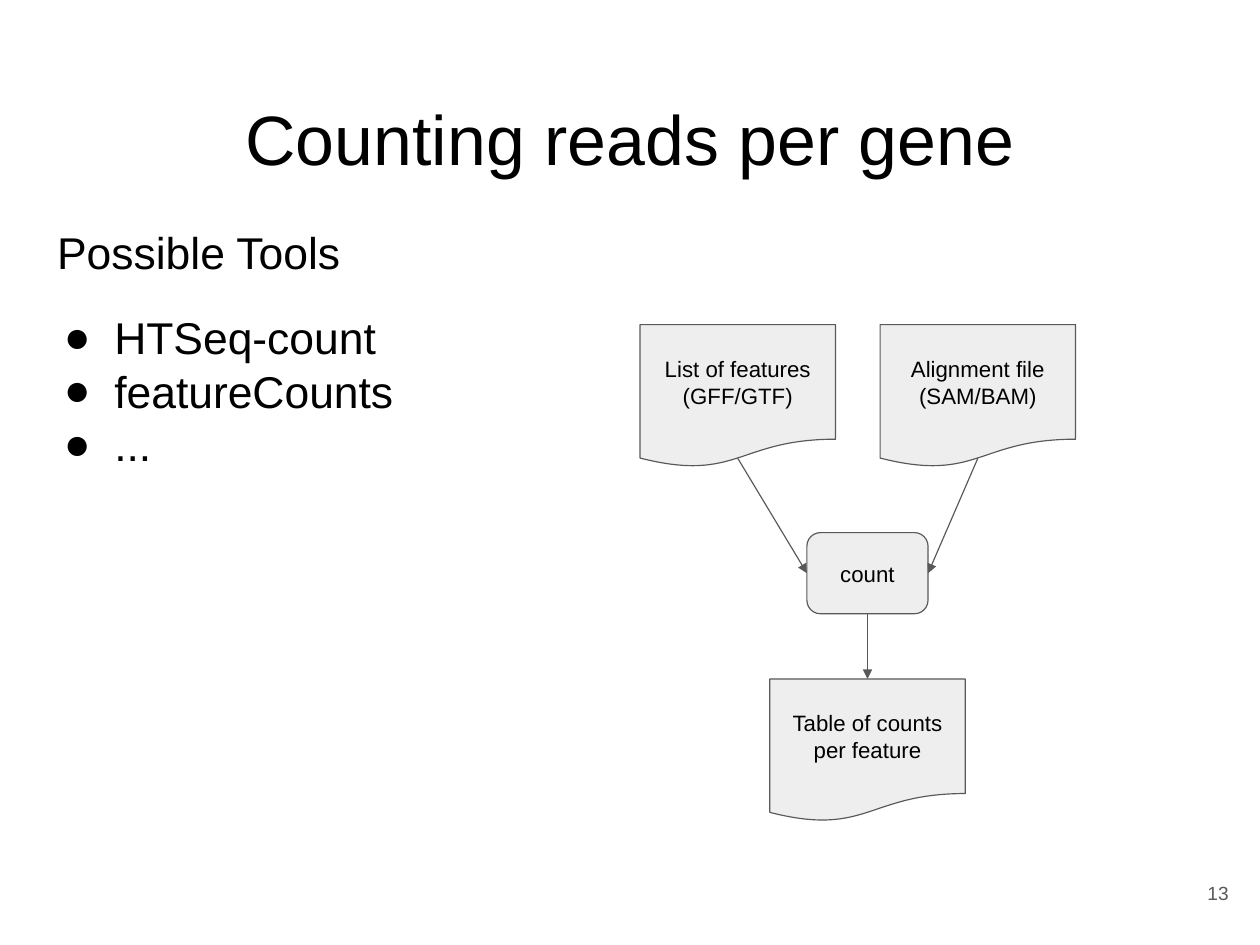
from lxml import etree
from pptx import Presentation
from pptx.dml.color import RGBColor
from pptx.enum.shapes import MSO_CONNECTOR, MSO_SHAPE
from pptx.enum.text import MSO_ANCHOR, PP_ALIGN
from pptx.oxml.ns import qn
from pptx.util import Cm, Inches, Pt

BLACK = RGBColor(0x00, 0x00, 0x00)
GRAY = RGBColor(0x59, 0x59, 0x59)
LIGHT_GRAY = RGBColor(0xEE, 0xEE, 0xEE)
FONT = "Arial"
TOP, LEFT, BOTTOM, RIGHT = range(4)
DOCUMENT_SIZE = (1.71, 1.25)
DOCUMENT_EDGE = 1.17  # depth of the wavy edge at its middle


def write_text(shape, *lines, size, color=BLACK, align=PP_ALIGN.LEFT,
               anchor=MSO_ANCHOR.TOP, inset=0.12):
    frame = shape.text_frame
    frame.word_wrap = True
    frame.vertical_anchor = anchor
    frame.margin_left = frame.margin_right = Inches(inset)
    frame.margin_top = frame.margin_bottom = Inches(inset)
    frame.text = "\n".join(lines)
    for paragraph in frame.paragraphs:
        paragraph.alignment = align
        paragraph.line_spacing = 1.0
        paragraph.space_before = Pt(0)
        for run in paragraph.runs:
            run.font.name, run.font.size = FONT, Pt(size)
            run.font.color.rgb = color
    return frame


def add_bullet(paragraph):
    properties = paragraph._p.get_or_add_pPr()
    properties.set("marL", str(Inches(0.5)))
    properties.set("indent", str(Inches(-0.44)))
    etree.SubElement(properties, qn("a:buFont"), typeface=FONT)
    etree.SubElement(properties, qn("a:buChar"), char="●")


def add_text_box(slide, left, top, width, height, *lines, **text_format):
    box = slide.shapes.add_textbox(
        Inches(left), Inches(top), Inches(width), Inches(height))
    return write_text(box, *lines, **text_format)


def add_node(slide, kind, left, top, width, height, label):
    node = slide.shapes.add_shape(
        kind, Inches(left), Inches(top), Inches(width), Inches(height))
    node.shadow.inherit = False
    node.fill.solid()
    node.fill.fore_color.rgb = LIGHT_GRAY
    node.line.color.rgb = GRAY
    node.line.width = Pt(0.75)
    write_text(node, label, size=14, align=PP_ALIGN.CENTER,
               anchor=MSO_ANCHOR.MIDDLE, inset=0.1)
    return node


def add_document(slide, left, top, label):
    return add_node(slide, MSO_SHAPE.FLOWCHART_DOCUMENT, left, top,
                    *DOCUMENT_SIZE, label)


def add_arrow(slide, start, target, side):
    """Draw an arrow from a point to the middle of a side of the target."""
    arrow = slide.shapes.add_connector(MSO_CONNECTOR.STRAIGHT, *start, *start)
    arrow.end_connect(target, side)
    arrow.line.color.rgb = GRAY
    arrow.line.width = Pt(0.75)
    etree.SubElement(arrow.line._get_or_add_ln(), qn("a:tailEnd"),
                     type="triangle")
    etree.SubElement(arrow._element.spPr, qn("a:effectLst"))
    return arrow


def document_exit(document):
    """Return the point where the wavy edge crosses the document's middle."""
    return (document.left + document.width // 2,
            document.top + Inches(DOCUMENT_EDGE))


def add_title(slide, text):
    title = slide.shapes.title
    title.left, title.top = Inches(0.38), Inches(0.72)
    title.width, title.height = Inches(10.27), Inches(0.92)
    write_text(title, text, size=44, align=PP_ALIGN.CENTER)


def add_tools(slide):
    frame = add_text_box(slide, 0.38, 1.85, 4.82, 5.49, "Possible Tools",
                         "HTSeq-count", "featureCounts", "...", size=28)
    tools = frame.paragraphs[1:]
    tools[0].space_before = Pt(20)
    for paragraph in tools:
        add_bullet(paragraph)


def add_workflow(slide):
    features = add_document(slide, 5.6, 2.84, "List of features (GFF/GTF)")
    alignment = add_document(slide, 7.7, 2.84, "Alignment file (SAM/BAM)")
    table = add_document(slide, 6.74, 5.94, "Table of counts per feature")
    count = add_node(slide, MSO_SHAPE.FLOWCHART_ALTERNATE_PROCESS,
                     7.06, 4.66, 1.06, 0.71, "count")
    table.left = count.left + (count.width - table.width) // 2
    add_arrow(slide, document_exit(features), count, LEFT)
    add_arrow(slide, document_exit(alignment), count, RIGHT)
    count_exit = (count.left + count.width // 2, count.top + count.height)
    result_arrow = add_arrow(slide, count_exit, table, TOP)
    result_arrow.begin_connect(count, BOTTOM)


def main():
    presentation = Presentation()
    presentation.slide_width = Cm(28)
    presentation.slide_height = Cm(21)
    slide = presentation.slides.add_slide(presentation.slide_layouts[5])
    add_title(slide, "Counting reads per gene")
    add_tools(slide)
    add_workflow(slide)
    add_text_box(slide, 10.21, 7.5, 0.66, 0.63, "13", size=12, color=GRAY,
                 align=PP_ALIGN.RIGHT, anchor=MSO_ANCHOR.MIDDLE)
    presentation.save("out.pptx")


if __name__ == "__main__":
    main()
